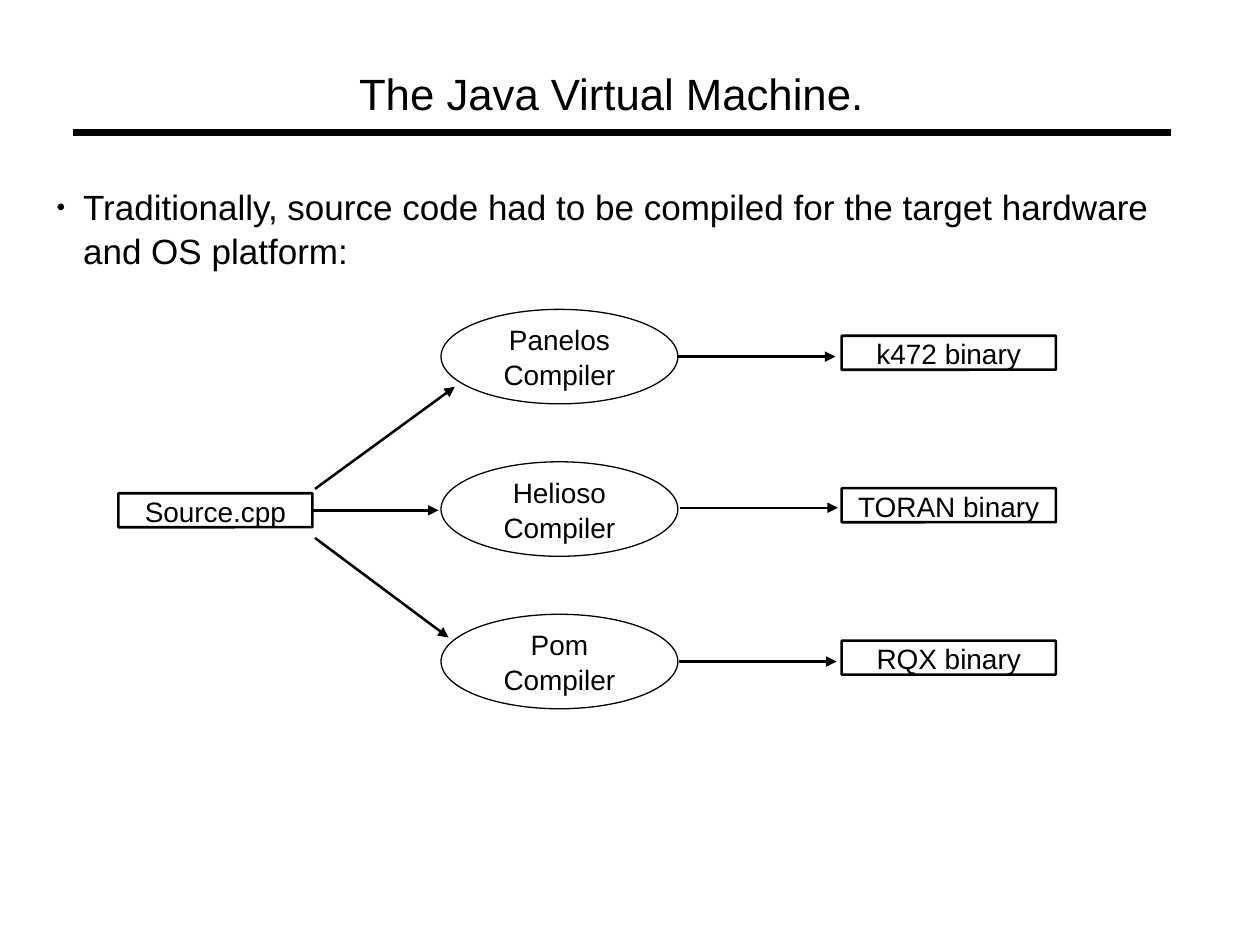
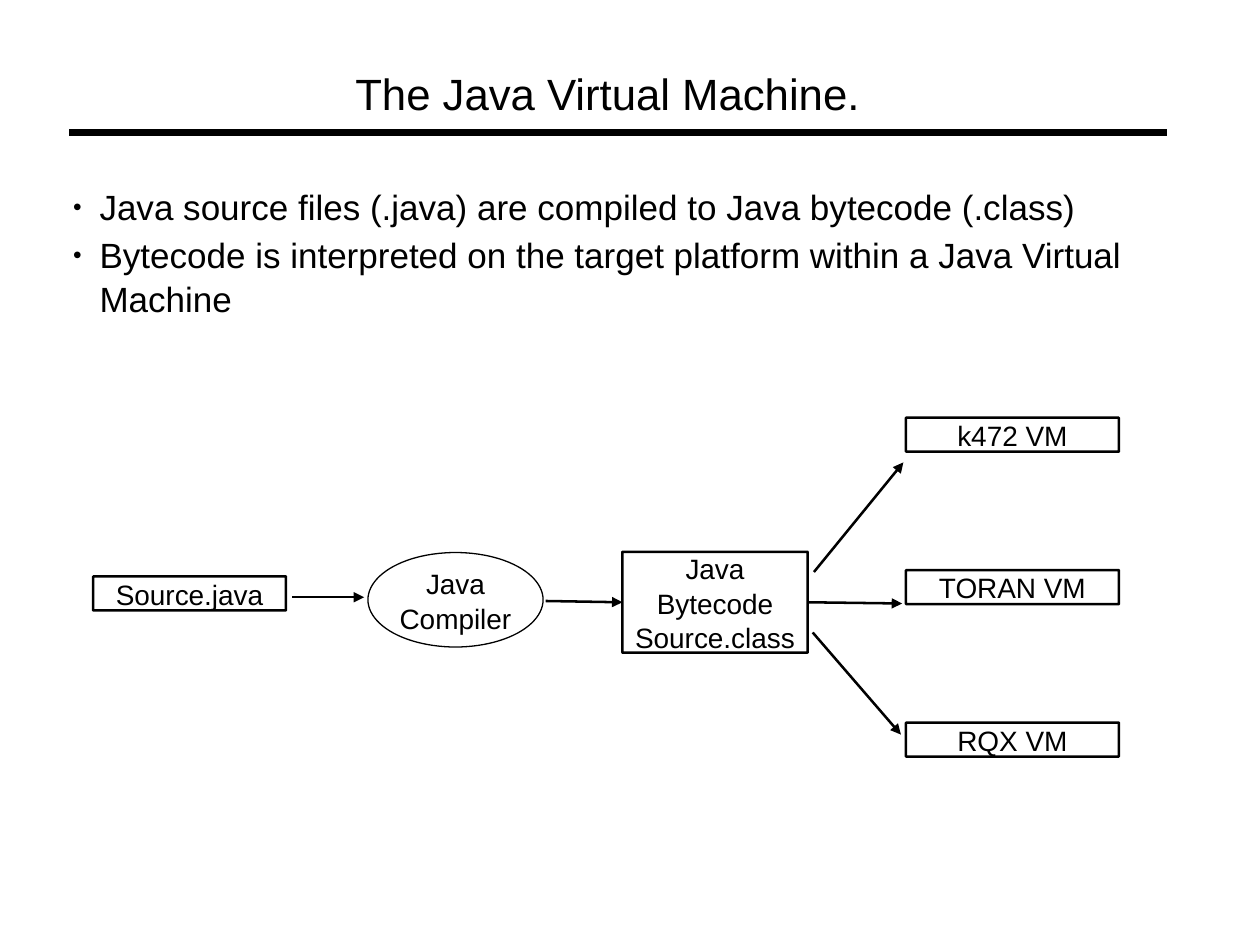
import pptx
import pptx.util
import pptx.dml.color
import pptx.enum.shapes
import pptx.enum.text
import pptx.oxml
import pptx.oxml.ns

COLORS = {"ink": "000000", "paper": "FFFFFF"}
FONT = "Arial"
TITLE = "The Java Virtual Machine."
ROW_PITCH = 1.21
RULE_WIDTH = 8.71
TITLE_INDENT = 2.27
KINDS = {"box": ("ROUNDED_RECTANGLE", 1.45), "oval": ("OVAL", 0.75)}

SLIDES = [
    {
        "left": 0.58,
        "body": (0.45, 8.94, 0.67),
        "bullets": ["Traditionally, source code had to be compiled for the "
                    "target hardware and OS platform:"],
        "columns": {
            "source": ("box", 0.94, 1.54, 0.27, 2.84),
            "compiler": ("oval", 3.5, 1.88, 0.75, 2.83),
            "binary": ("box", 6.68, 1.7, 0.27, 2.8),
        },
        "nodes": [
            ("source", 1, ["Source.cpp"]),
            ("binary", 0, ["k472 binary"]),
            ("binary", 1, ["TORAN binary"]),
            ("binary", 2, ["RQX binary"]),
            ("compiler", 0, ["Panelos", "Compiler"]),
            ("compiler", 1, ["Helioso", "Compiler"]),
            ("compiler", 2, ["Pom", "Compiler"]),
        ],
        "arrows": [
            (("source", 1, 3), (3.48, 4.05)),
            ((2.5, 3.88), (3.61, 3.07)),
            ((2.5, 4.27), (3.56, 5.06)),
            ((5.38, 2.83), (6.63, 2.83)),
            ((5.4, 4.03), (6.65, 4.03)),
            ((5.39, 5.25), (6.64, 5.25)),
        ],
    },
    {
        "left": 0.55,
        "body": (0.58, 8.69, 1.04),
        "bullets": ["Java source files (.java) are compiled to Java bytecode (.class)",
                    "Bytecode is interpreted on the target platform within a "
                    "Java Virtual Machine"],
        "columns": {
            "source": ("box", 0.74, 1.53, 0.27, 3.5),
            "compiler": ("oval", 2.92, 1.39, 0.75, 3.55),
            "bytecode": ("box", 4.94, 1.47, 0.8, 3.57),
            "vm": ("box", 7.19, 1.69, 0.27, 3.45),
        },
        "nodes": [
            ("source", 1, ["Source.java"]),
            ("vm", 0, ["k472 VM"]),
            ("vm", 1, ["TORAN VM"]),
            ("vm", 2, ["RQX VM"]),
            ("compiler", 1, ["Java", "Compiler"]),
            ("bytecode", 1, ["Java", "Bytecode", "Source.class"]),
        ],
        "arrows": [
            ((2.32, 4.74), (2.89, 4.74)),
            ((4.33, 4.77), ("bytecode", 1, 1)),
            ((6.46, 4.54), (7.17, 3.67)),
            (("bytecode", 1, 3), (7.16, 4.79)),
            ((6.45, 5.02), (7.15, 5.83)),
        ],
    },
]


def inches(*values):
    return [pptx.util.Inches(v) for v in values]


def rgb(name):
    return pptx.dml.color.RGBColor.from_string(COLORS[name])


def add_xml(parent, tag, **attrs):
    el = pptx.oxml.parse_xml(f'<a:{tag} {pptx.oxml.ns.nsdecls("a")}/>')
    for key, value in attrs.items():
        el.set(key, value)
    parent.append(el)
    return el


def add_bullet(p):
    ppr = p._p.get_or_add_pPr()
    ppr.set("marL", str(pptx.util.Inches(0.21)))
    ppr.set("indent", str(-pptx.util.Inches(0.21)))
    add_xml(add_xml(ppr, "buClr"), "srgbClr", val=COLORS["ink"])
    add_xml(ppr, "buSzPct", val="70000")
    add_xml(ppr, "buFont", typeface=FONT)
    add_xml(ppr, "buChar", char="•")


def write(sp, lines, size, centred=False, bulleted=False):
    tf = sp.text_frame
    tf.margin_left = tf.margin_right = tf.margin_top = tf.margin_bottom = 0
    tf.word_wrap = True
    if centred:
        tf.vertical_anchor = pptx.enum.text.MSO_ANCHOR.MIDDLE
    for i, line in enumerate(lines):
        p = tf.add_paragraph() if i else tf.paragraphs[0]
        if bulleted:
            add_bullet(p)
        p.line_spacing = 1.04
        if bulleted and i:
            p.space_before = pptx.util.Pt(2.5)
        if centred:
            p.alignment = pptx.enum.text.PP_ALIGN.CENTER
        r = p.add_run()
        r.text = line
        r.font.name = FONT
        r.font.size = pptx.util.Pt(size)
        r.font.color.rgb = rgb("ink")


def add_line(s, start, end, width):
    line = s.shapes.add_connector(
        pptx.enum.shapes.MSO_CONNECTOR.STRAIGHT, *inches(*start, *end))
    line.line.color.rgb = rgb("ink")
    line.line.width = pptx.util.Pt(width)
    add_xml(line._element.spPr, "effectLst")
    return line


def add_node(s, column, row, lines):
    kind, left, width, height, first_centre = column
    shape, weight = KINDS[kind]
    top = first_centre + row * ROW_PITCH - height / 2
    sp = s.shapes.add_shape(getattr(pptx.enum.shapes.MSO_SHAPE, shape),
                            *inches(left, top, width, height))
    if kind == "box":
        sp.adjustments[0] = 0.002
    sp.shadow.inherit = False
    sp.fill.solid()
    sp.fill.fore_color.rgb = rgb("paper")
    sp.line.color.rgb = rgb("ink")
    sp.line.width = pptx.util.Pt(weight)
    write(sp, lines, 16, centred=True)
    return sp


def add_arrow(s, start, end, nodes):
    points = [(0, 0) if len(point) == 3 else point for point in (start, end)]
    arrow = add_line(s, *points, 1.45)
    add_xml(arrow.line._get_or_add_ln(), "tailEnd", type="triangle", w="med", len="med")
    for point, connect in ((start, arrow.begin_connect), (end, arrow.end_connect)):
        if len(point) == 3:
            connect(nodes[point[:2]], point[2])


def build(prs, spec):
    s = prs.slides.add_slide(prs.slide_layouts[6])
    s.background.fill.solid()
    s.background.fill.fore_color.rgb = rgb("paper")
    left = spec["left"]
    add_line(s, (left, 1.05), (left + RULE_WIDTH, 1.05), 4.31)
    body_left, body_width, body_height = spec["body"]
    body = s.shapes.add_textbox(*inches(body_left, 1.46, body_width, body_height))
    write(body, spec["bullets"], 20, bulleted=True)
    title = s.shapes.add_textbox(*inches(left + TITLE_INDENT, 0.51, 4.11, 0.42))
    write(title, [TITLE], 25)
    nodes = {(name, row): add_node(s, spec["columns"][name], row, lines)
             for name, row, lines in spec["nodes"]}
    for start, end in spec["arrows"]:
        add_arrow(s, start, end, nodes)


def main():
    prs = pptx.Presentation()
    prs.slide_width, prs.slide_height = inches(10, 7.5)
    for spec in SLIDES:
        build(prs, spec)
    prs.save("out.pptx")


if __name__ == "__main__":
    main()
